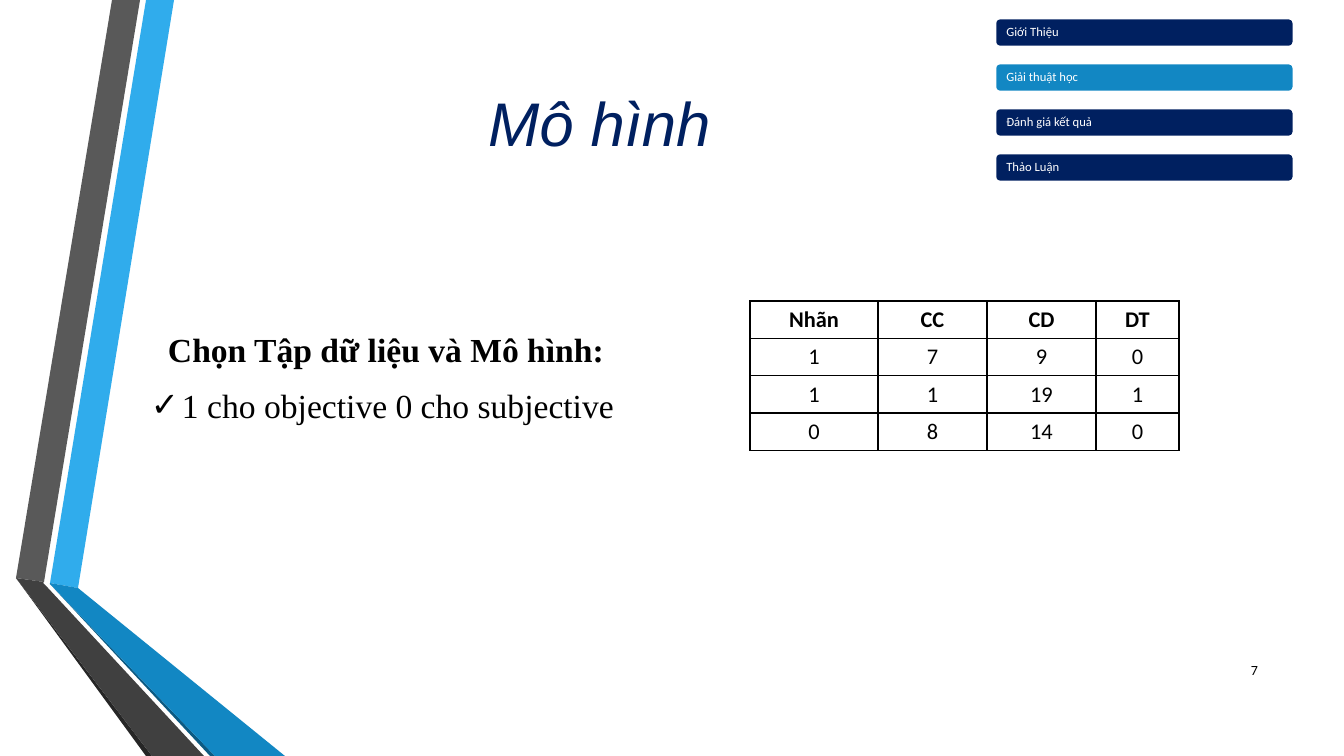
from lxml.etree import SubElement
from pptx import Presentation
from pptx.dml.color import RGBColor
from pptx.enum.shapes import MSO_SHAPE as Shape
from pptx.enum.text import MSO_ANCHOR as Anchor, MSO_AUTO_SIZE as AutoSize, PP_ALIGN as Align
from pptx.oxml.ns import qn
from pptx.util import Pt

EMU_PER_PX = 914400 / 100.8

WHITE = RGBColor(0xFF, 0xFF, 0xFF)
BLACK = RGBColor(0x00, 0x00, 0x00)
NAVY = RGBColor(0x00, 0x20, 0x60)
BLUE = RGBColor(0x12, 0x87, 0xC3)
SKY = RGBColor(0x30, 0xAC, 0xEC)
DEEP_BLUE = RGBColor(0x0C, 0x5A, 0x82)
GREY = RGBColor(0x59, 0x59, 0x59)
DARK_GREY = RGBColor(0x40, 0x40, 0x40)
CHARCOAL = RGBColor(0x26, 0x26, 0x26)

RIBBONS = [
    (SKY, [(50, 583), (78, 588), (174, 0), (146, 0)]),
    (GREY, [(140, 0), (112, 0), (16, 578), (44, 582)]),
    (CHARCOAL, [(16, 578), (146, 756), (152, 756)]),
    (DEEP_BLUE, [(50, 584), (210, 756), (215, 756)]),
    (BLUE, [(50, 584), (215, 756), (285, 756), (78, 588), (50, 583)]),
    (DARK_GREY, [(204, 756), (48, 588), (43, 583), (44, 582), (16, 578), (152, 756)]),
]
SECTIONS = ["Giới Thiệu", "Giải thuật học", "Đánh giá kết quả", "Thảo Luận"]
CURRENT_SECTION = "Giải thuật học"
SAMPLES = [
    ["Nhãn", "CC", "CD", "DT"],
    ["1", "7", "9", "0"],
    ["1", "1", "19", "1"],
    ["0", "8", "14", "0"],
]


def px(length):
    return round(length * EMU_PER_PX)


class PageBuilder:
    text_font = "Calibri"
    title_font = "Arial"
    body_font = "Times New Roman"

    def __init__(self, deck):
        self.page = deck.slides.add_slide(deck.slide_layouts[1])
        self.shapes = self.page.shapes

    def place(self, shape, left, top, width, height):
        shape.left, shape.top = px(left), px(top)
        shape.width, shape.height = px(width), px(height)

    def frame(self, shape, anchor, insets=(10, 5, 10, 5)):
        frame = shape.text_frame
        frame.word_wrap = True
        frame.auto_size = AutoSize.NONE
        frame.vertical_anchor = anchor
        (frame.margin_left, frame.margin_top,
         frame.margin_right, frame.margin_bottom) = map(px, insets)
        return frame

    def span(self, para, text, size, font=text_font, color=BLACK, bold=False, italic=False):
        span = para.add_run()
        span.text = text
        span.font.name, span.font.size = font, Pt(size)
        span.font.bold, span.font.italic = bold, italic
        span.font.color.rgb = color

    def ribbon(self, color, points):
        builder = self.shapes.build_freeform(*points[0], scale=EMU_PER_PX)
        builder.add_line_segments(points[1:], close=True)
        ribbon = builder.convert_to_shape()
        ribbon.shadow.inherit = False
        ribbon.fill.solid()
        ribbon.fill.fore_color.rgb = color
        ribbon.line.fill.background()

    def title(self, text, *area):
        box = self.shapes.title
        self.place(box, *area)
        para = self.frame(box, Anchor.MIDDLE).paragraphs[0]
        para.alignment = Align.CENTER
        self.span(para, text, 44, self.title_font, NAVY, italic=True)

    def body(self, heading, points, *area):
        """Fill the body placeholder with a bold heading and ticked points."""
        box = self.page.placeholders[1]
        self.place(box, *area)
        frame = self.frame(box, Anchor.TOP)
        for index, text in enumerate([heading, *points]):
            is_heading = index == 0
            para = frame.paragraphs[0] if is_heading else frame.add_paragraph()
            para.space_before, para.space_after = Pt(4.8), Pt(6)
            self.bullet(para, None if is_heading else "✓")
            self.span(para, text, 24, self.body_font, bold=is_heading)

    def bullet(self, para, mark):
        props = para._p.get_or_add_pPr()
        props.set("marL", str(px(31 if mark else 17)))
        props.set("indent", str(px(-31 if mark else 0)))
        if mark:
            SubElement(props, qn("a:buChar"), char=mark)
        else:
            SubElement(props, qn("a:buNone"))

    def section_tab(self, text, color, *area):
        tab = self.shapes.add_shape(Shape.ROUNDED_RECTANGLE, *map(px, area))
        tab.shadow.inherit = False
        tab.fill.solid()
        tab.fill.fore_color.rgb = color
        tab.line.color.rgb, tab.line.width = WHITE, Pt(2)
        para = self.frame(tab, Anchor.MIDDLE, (10, 1, 9, 1)).paragraphs[0]
        para.alignment = Align.LEFT
        para.line_spacing, para.space_after = 0.9, Pt(3.1)
        self.span(para, text, 9, color=WHITE)

    def page_number(self, text, *area):
        box = self.shapes.add_textbox(*map(px, area))
        para = self.frame(box, Anchor.MIDDLE).paragraphs[0]
        para.alignment = Align.RIGHT
        self.span(para, text, 10)

    def table(self, rows, left, top, widths, row_height):
        holder = self.shapes.add_table(
            len(rows), len(widths), px(left), px(top),
            px(sum(widths)), px(row_height * len(rows)))
        table = holder.table
        table.first_row = table.horz_banding = False
        for column, width in zip(table.columns, widths):
            column.width = px(width)
        for row_index, texts in enumerate(rows):
            table.rows[row_index].height = px(row_height)
            for column_index, text in enumerate(texts):
                self.cell(table.cell(row_index, column_index), text, row_index == 0)

    def cell(self, cell, text, bold):
        cell.margin_left = cell.margin_right = px(1)
        cell.margin_top = cell.margin_bottom = px(5)
        para = cell.text_frame.paragraphs[0]
        para.alignment = Align.CENTER
        self.span(para, text, 16, bold=bold)
        props = cell._tc.get_or_add_tcPr()
        for side in ("lnL", "lnR", "lnT", "lnB"):
            border = SubElement(props, qn(f"a:{side}"), w=str(Pt(0.96)))
            fill = SubElement(border, qn("a:solidFill"))
            SubElement(fill, qn("a:srgbClr"), val=str(BLACK))
        cell.fill.background()


def main():
    deck = Presentation()
    deck.slide_width, deck.slide_height = px(1344), px(756)
    builder = PageBuilder(deck)
    for color, points in RIBBONS:
        builder.ribbon(color, points)
    builder.body("Chọn Tập dữ liệu và Mô hình:", ["1 cho objective 0 cho subjective"],
                 141, 324, 547, 182)
    builder.title("Mô hình", 47, 25, 1105, 194)
    builder.page_number("7", 1208, 651, 60, 37)
    for index, section in enumerate(SECTIONS):
        color = BLUE if section == CURRENT_SECTION else NAVY
        builder.section_tab(section, color, 995, 18 + 45 * index, 299, 29)
    builder.table(SAMPLES, 750, 301, [128, 109, 109, 83], 37)
    deck.save("out.pptx")


if __name__ == "__main__":
    main()
